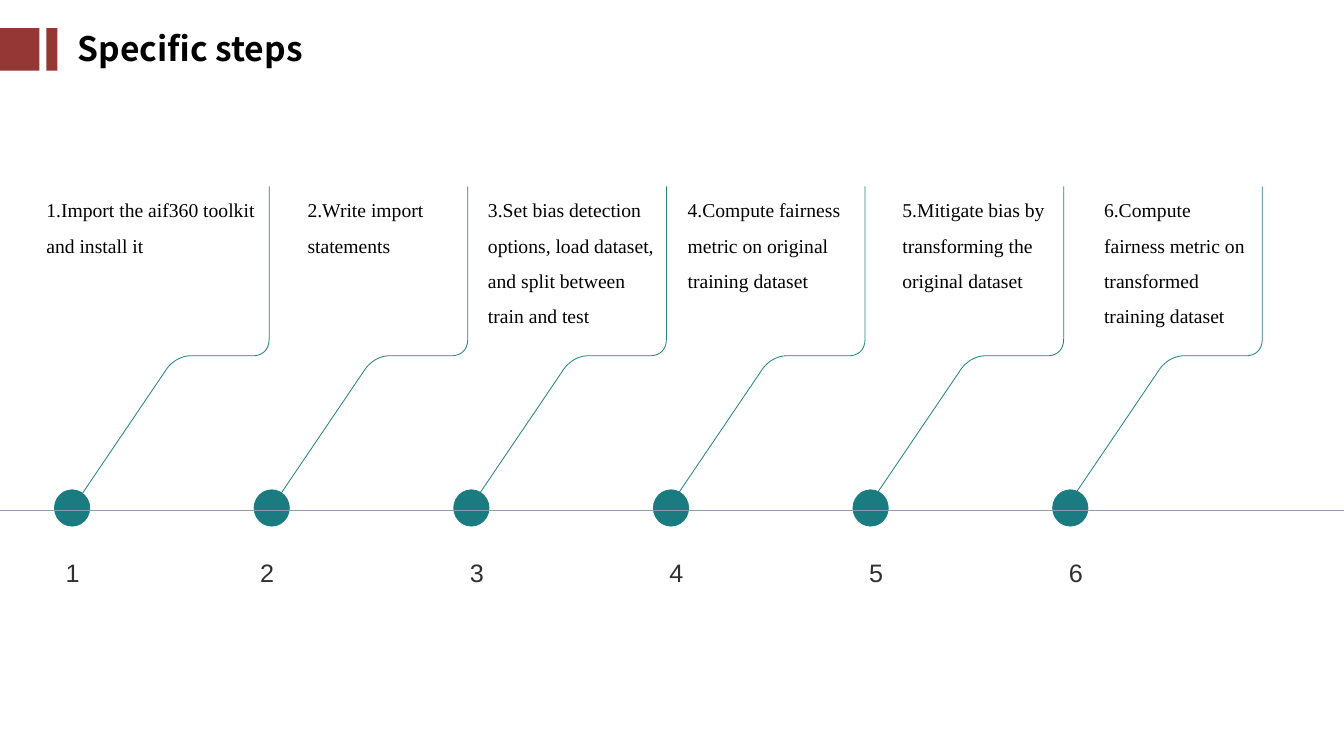
from lxml import etree
from pptx import Presentation
from pptx.dml.color import RGBColor
from pptx.enum.shapes import MSO_CONNECTOR as CONN, MSO_SHAPE as SHAPE
from pptx.enum.text import MSO_ANCHOR as ANCHOR, PP_ALIGN as ALIGN
from pptx.oxml.ns import qn
from pptx.util import Inches, Pt

COLORS = {"accent": "953734", "teal": "1A7B80", "axis": "8D9CB1",
          "text": "000000", "number": "303030"}

# Text, text left, text width, text height, number left
STEPS = [
    ("1.Import the aif360 toolkit and install it", 0.46, 2.07, 0.82, 0.17),
    ("2.Write import statements", 3.05, 1.45, 0.82, 2.1),
    ("3.Set bias detection options, load dataset, and split between train and test",
     4.84, 1.66, 1.48, 4.18),
    ("4.Compute fairness metric on original training dataset", 6.82, 1.66, 1.48, 6.16),
    ("5.Mitigate bias by transforming the original dataset", 8.95, 1.66, 1.48, 8.14),
    ("6.Compute fairness metric on transformed training dataset",
     10.95, 1.48, 1.48, 10.12),
]
TOP, DOT_TOP, AXIS_Y = 1.85, 4.86, 5.06
DOT_LEFT, DOT_PITCH = 0.54, 1.98
BRANCH_LEFT, BRANCH_PITCH = 0.76, 1.97


def bezier(p0, p1, p2, p3, n=12):
    """Points along a cubic curve, both ends included."""
    def at(t):
        u = 1 - t
        return tuple(u**3 * a + 3 * u * u * t * b + 3 * u * t * t * c + t**3 * d
                     for a, b, c, d in zip(p0, p1, p2, p3))
    return [at(i / n) for i in range(n + 1)]


# Branch outline, measured from its lower end
BRANCH = [(0, 3.13),
          *bezier((0.88, 1.83), (0.88, 1.83), (0.96, 1.69), (1.12, 1.68)),
          *bezier((1.73, 1.68), (1.73, 1.68), (1.91, 1.7), (1.91, 1.51)),
          (1.91, 0)]


class Deck:
    def __init__(self):
        self.prs = Presentation()
        self.prs.slide_width, self.prs.slide_height = Inches(13.33), Inches(7.5)
        self.s = self.prs.slides.add_slide(self.prs.slide_layouts[6])

    def color(self, name):
        return RGBColor.from_string(COLORS[name])

    def line(self, sp, color, alpha=None):
        sp.line.color.rgb = self.color(color)
        sp.line.width = Pt(0.6)
        if alpha:
            clr = sp.line.fill._xPr.find(".//" + qn("a:srgbClr"))
            etree.SubElement(clr, qn("a:alpha")).set("val", str(alpha * 1000))

    def shape(self, kind, x, y, w, h, color, outlined=False):
        sp = self.s.shapes.add_shape(kind, Inches(x), Inches(y), Inches(w), Inches(h))
        sp.shadow.inherit = False
        sp.fill.solid()
        sp.fill.fore_color.rgb = self.color(color)
        if outlined:
            self.line(sp, color, 95)
        else:
            sp.line.fill.background()

    def branch(self, x, y, color):
        pts = [(Inches(x + dx), Inches(y + dy)) for dx, dy in BRANCH]
        fb = self.s.shapes.build_freeform(*pts[0])
        fb.add_line_segments(pts[1:], close=False)
        sp = fb.convert_to_shape()
        sp.shadow.inherit = False
        sp.fill.background()
        self.line(sp, color, 95)

    def axis(self, y, color):
        sp = self.s.shapes.add_connector(CONN.STRAIGHT, 0, Inches(y),
                                         self.prs.slide_width, Inches(y))
        self.line(sp, color)
        etree.SubElement(sp._element.spPr, qn("a:effectLst"))

    def text(self, text, x, y, w, h, font, size, color, bold=False, inset=0,
             align=ALIGN.LEFT, anchor=ANCHOR.TOP, spacing=None):
        tf = self.s.shapes.add_textbox(Inches(x), Inches(y), Inches(w), Inches(h)).text_frame
        tf.word_wrap = True
        tf.vertical_anchor = anchor
        tf.margin_left = tf.margin_right = Inches(inset)
        tf.margin_top = tf.margin_bottom = Inches(inset / 2)
        p = tf.paragraphs[0]
        p.text = text
        p.alignment, p.line_spacing = align, spacing
        p.font.name, p.font.size, p.font.bold = font, Pt(size), bold
        p.font.color.rgb = self.color(color)


def main():
    deck = Deck()

    # Title
    for x, w in ((0, 0.39), (0.46, 0.11)):
        deck.shape(SHAPE.RECTANGLE, x, 0.28, w, 0.42, "accent")
    deck.text("Specific steps", 0.67, 0.23, 4.61, 0.5, "Noto Sans CJK SC", 24,
              "text", bold=True, inset=0.1)

    # Step descriptions
    for text, x, w, h, _ in STEPS:
        deck.text(text, x, TOP, w, h, "Times New Roman", 14, "text", spacing=1.5)

    # Timeline
    for i in range(len(STEPS)):
        deck.shape(SHAPE.OVAL, DOT_LEFT + i * DOT_PITCH, DOT_TOP, 0.35, 0.36,
                   "teal", outlined=True)
        deck.branch(BRANCH_LEFT + i * BRANCH_PITCH, TOP, "teal")
    deck.axis(AXIS_Y, "axis")

    # Step numbers
    for n, step in enumerate(STEPS, 1):
        deck.text(str(n), step[-1], 5.45, 1.1, 0.45, "Arial", 18, "number",
                  align=ALIGN.CENTER, anchor=ANCHOR.MIDDLE)

    deck.prs.save("out.pptx")


if __name__ == "__main__":
    main()
